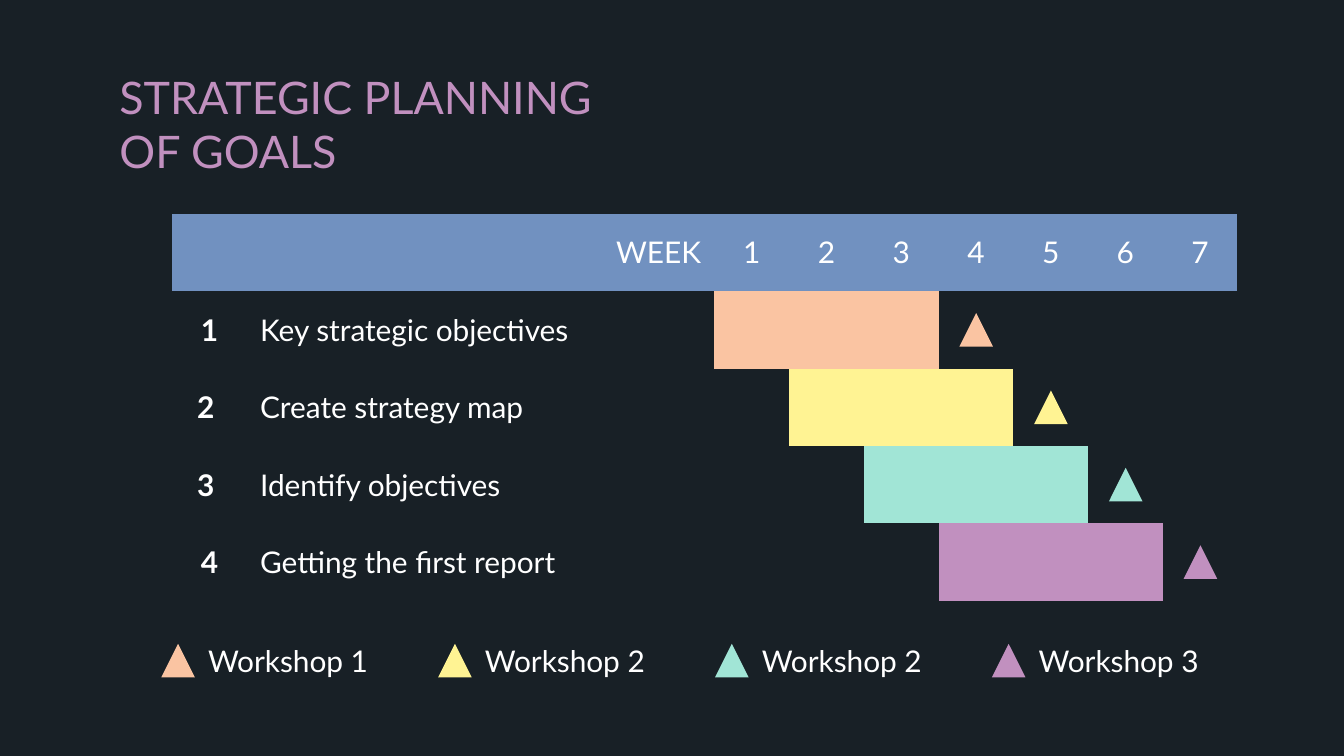
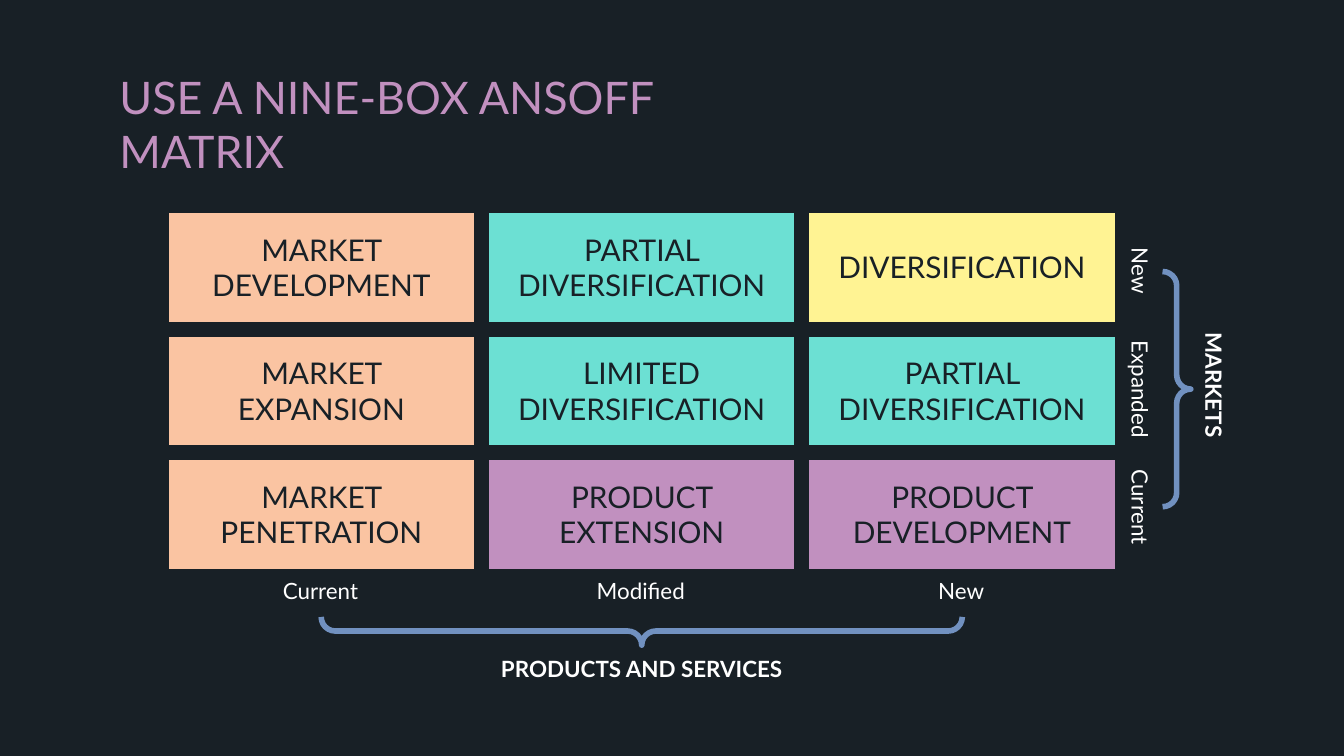
from lxml.etree import SubElement
from pptx import Presentation
from pptx.dml.color import RGBColor
from pptx.enum.shapes import MSO_SHAPE
from pptx.enum.text import MSO_ANCHOR, PP_ALIGN
from pptx.oxml.ns import qn
from pptx.util import Inches, Pt

DARK = RGBColor(0x18, 0x20, 0x26)
WHITE = RGBColor(0xFF, 0xFF, 0xFF)
BLUE = RGBColor(0x71, 0x91, 0xC0)
PEACH = RGBColor(0xFA, 0xC4, 0xA2)
YELLOW = RGBColor(0xFF, 0xF3, 0x93)
MINT = RGBColor(0xA1, 0xE5, 0xD6)
TURQUOISE = RGBColor(0x6C, 0xE0, 0xD3)
PURPLE = RGBColor(0xC1, 0x90, 0xBF)
FONT = "Lato"
NO_STYLE_NO_GRID = "{2D5ABB26-0587-4C30-8999-92F81FD0307C}"


def write_text(area, text, size=16, color=WHITE, bold=False, align=PP_ALIGN.LEFT,
               anchor=MSO_ANCHOR.MIDDLE, margin=0.1):
    """Fill a table cell or a text frame with one formatted paragraph."""
    area.text = text
    area.vertical_anchor = anchor
    area.margin_left = area.margin_right = Inches(0.1)
    area.margin_top = area.margin_bottom = Inches(margin)
    paragraph = getattr(area, "text_frame", area).paragraphs[0]
    paragraph.alignment = align
    for run in paragraph.runs:
        run.font.name = FONT
        run.font.size = Pt(size)
        run.font.bold = bold
        run.font.color.rgb = color


def add_label(slide, left, top, width, height, text, rotation=0, **text_format):
    label = slide.shapes.add_textbox(Inches(left), Inches(top), Inches(width), Inches(height))
    label.rotation = rotation
    label.text_frame.word_wrap = True
    write_text(label.text_frame, text, **text_format)


presentation = Presentation()
presentation.slide_width = Inches(10)
presentation.slide_height = Inches(10 * 9 / 16)

slides = []
for title in ("STRATEGIC PLANNING OF GOALS", "USE A NINE-BOX ANSOFF MATRIX"):
    slide = presentation.slides.add_slide(presentation.slide_layouts[6])
    slide.background.fill.solid()
    slide.background.fill.fore_color.rgb = DARK
    add_label(slide, 0.79, 0.42, 4.22, 0.93, title, size=24, color=PURPLE,
              anchor=MSO_ANCHOR.TOP)
    slides.append(slide)
schedule_slide, matrix_slide = slides

# Tables
SCHEDULE_LEFT, SCHEDULE_TOP = 1.28, 1.59
TASK_WIDTH = 3.48
WEEK_WIDTH = 4.45 / 8
SCHEDULE_ROW = 2.88 / 5
MATRIX_LEFT, MATRIX_TOP = 1.2, 1.53
BOX_WIDTH, BOX_HEIGHT = 7.15 / 3, 0.92

tables = []
for slide, left, top, widths, row_height, row_count in (
    (schedule_slide, SCHEDULE_LEFT, SCHEDULE_TOP,
     [WEEK_WIDTH, TASK_WIDTH] + [WEEK_WIDTH] * 7, SCHEDULE_ROW, 5),
    (matrix_slide, MATRIX_LEFT, MATRIX_TOP, [BOX_WIDTH] * 3, BOX_HEIGHT, 3),
):
    frame = slide.shapes.add_table(row_count, len(widths), Inches(left), Inches(top),
                                   Inches(sum(widths)), Inches(row_height * row_count))
    table = frame.table
    table.first_row = table.horz_banding = False
    table._tbl.tblPr.find(qn("a:tableStyleId")).text = NO_STYLE_NO_GRID
    for column, width in zip(table.columns, widths):
        column.width = Inches(width)
    for row in table.rows:
        row.height = Inches(row_height)
    tables.append(table)
schedule, matrix = tables

# Weekly schedule
for cell in schedule.iter_cells():
    cell.fill.background()
for column in range(9):
    header = schedule.cell(0, column)
    header.fill.solid()
    header.fill.fore_color.rgb = BLUE
    if column > 1:
        write_text(header, str(column - 1), align=PP_ALIGN.CENTER)
write_text(schedule.cell(0, 1), "WEEK", align=PP_ALIGN.RIGHT)

MARKER = 0.25
LEGEND_TOP = 4.79
tasks = (
    ("1", "Key strategic objectives", PEACH, "Workshop 1"),
    ("2 ", "Create strategy map", YELLOW, "Workshop 2"),
    ("3 ", "Identify objectives", MINT, "Workshop 2"),
    ("4", "Getting the first report", PURPLE, "Workshop 3"),
)
for index, (number, task, color, workshop) in enumerate(tasks):
    row = index + 1
    write_text(schedule.cell(row, 0), number, bold=True, align=PP_ALIGN.CENTER)
    write_text(schedule.cell(row, 1), task)
    for week in range(3):
        bar = schedule.cell(row, 2 + index + week)
        bar.fill.solid()
        bar.fill.fore_color.rgb = color

    legend_left = 1.2 + 2.06 * index
    week_left = SCHEDULE_LEFT + TASK_WIDTH + WEEK_WIDTH * (index + 4)
    row_top = SCHEDULE_TOP + SCHEDULE_ROW * row
    for left, top in (
        (legend_left, LEGEND_TOP),
        (week_left + (WEEK_WIDTH - MARKER) / 2, row_top + (SCHEDULE_ROW - MARKER) / 2),
    ):
        marker = schedule_slide.shapes.add_shape(
            MSO_SHAPE.ISOSCELES_TRIANGLE, Inches(left), Inches(top),
            Inches(MARKER), Inches(MARKER))
        marker.shadow.inherit = False
        marker.fill.solid()
        marker.fill.fore_color.rgb = color
        marker.line.fill.background()
    add_label(schedule_slide, legend_left + MARKER, LEGEND_TOP, 1.59, MARKER, workshop)

# Ansoff matrix
boxes = (
    (("MARKET DEVELOPMENT", PEACH), ("PARTIAL DIVERSIFICATION", TURQUOISE),
     ("DIVERSIFICATION", YELLOW)),
    (("MARKET EXPANSION", PEACH), ("LIMITED DIVERSIFICATION", TURQUOISE),
     ("PARTIAL DIVERSIFICATION", TURQUOISE)),
    (("MARKET PENETRATION", PEACH), ("PRODUCT EXTENSION", PURPLE),
     ("PRODUCT DEVELOPMENT", PURPLE)),
)
for row, row_boxes in enumerate(boxes):
    for column, (strategy, color) in enumerate(row_boxes):
        cell = matrix.cell(row, column)
        write_text(cell, strategy, color=DARK, align=PP_ALIGN.CENTER)
        properties = cell._tc.get_or_add_tcPr()
        for side in ("a:lnL", "a:lnR", "a:lnT", "a:lnB"):
            border = SubElement(properties, qn(side), w=str(Pt(9)))
            border_fill = SubElement(border, qn("a:solidFill"))
            SubElement(border_fill, qn("a:srgbClr"), val=str(DARK))
        cell.fill.solid()
        cell.fill.fore_color.rgb = color

# Axis labels and braces
axis_format = {"size": 12, "align": PP_ALIGN.CENTER, "margin": 0.05}
LABEL_HEIGHT = 0.23
for index, text in enumerate(("Current", "Modified", "New")):
    add_label(matrix_slide, 1.57 + BOX_WIDTH * index, 4.28, 1.63, LABEL_HEIGHT, text,
              **axis_format)
for index, text in enumerate(("New", "Expanded", "Current")):
    add_label(matrix_slide, 7.98, 1.9 + 0.88 * index, 1.01, LABEL_HEIGHT, text,
              rotation=90, **axis_format)
add_label(matrix_slide, 2.67, 4.86, 4.21, LABEL_HEIGHT, "PRODUCTS AND SERVICES",
          bold=True, **axis_format)
add_label(matrix_slide, 8.22, 2.75, 1.63, LABEL_HEIGHT, "MARKETS", rotation=90,
          bold=True, **axis_format)

for left, top, length, rotation in ((4.67, 2.31, 4.77, 270), (8.65, 2.02, 1.75, 180)):
    brace = matrix_slide.shapes.add_shape(MSO_SHAPE.LEFT_BRACE, Inches(left), Inches(top),
                                          Inches(0.21), Inches(length))
    brace.rotation = rotation
    brace.adjustments[0] = brace.adjustments[1] = 0.5
    brace.shadow.inherit = False
    brace.fill.background()
    brace.line.color.rgb = BLUE
    brace.line.width = Pt(3)

presentation.save("out.pptx")
